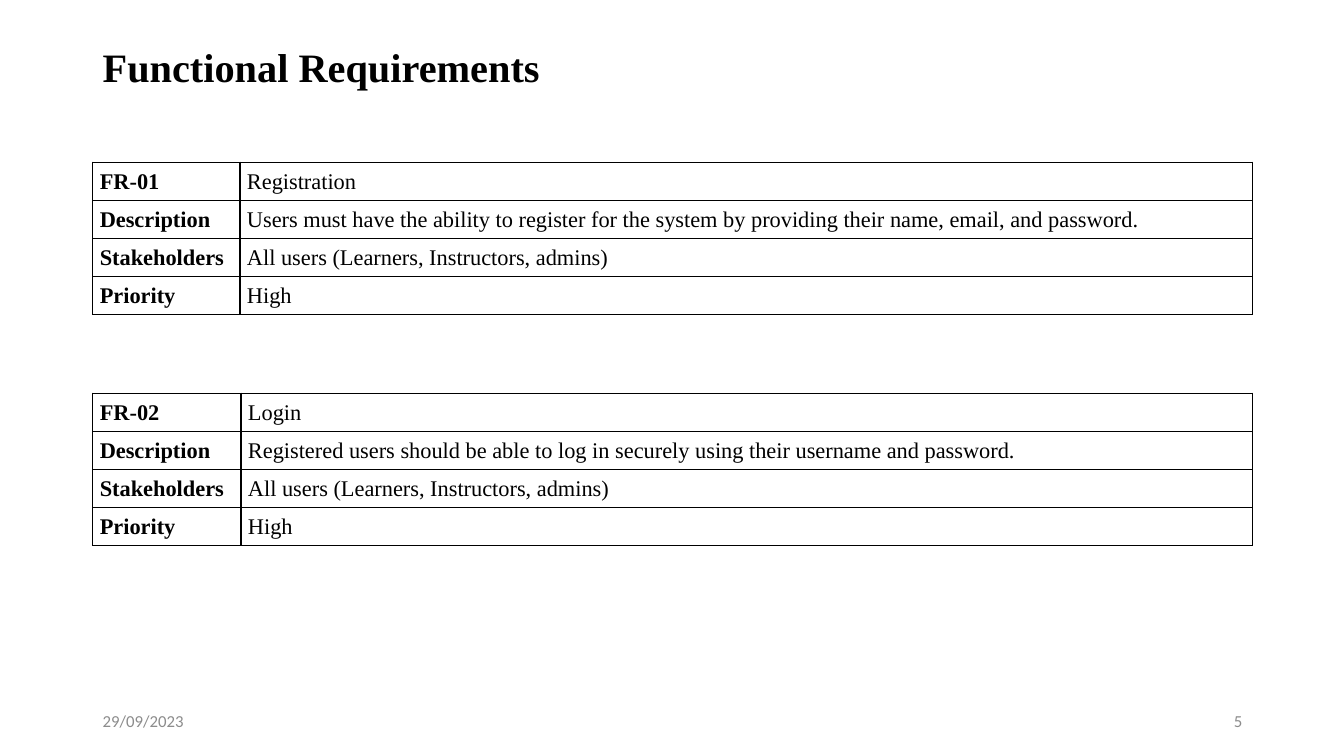
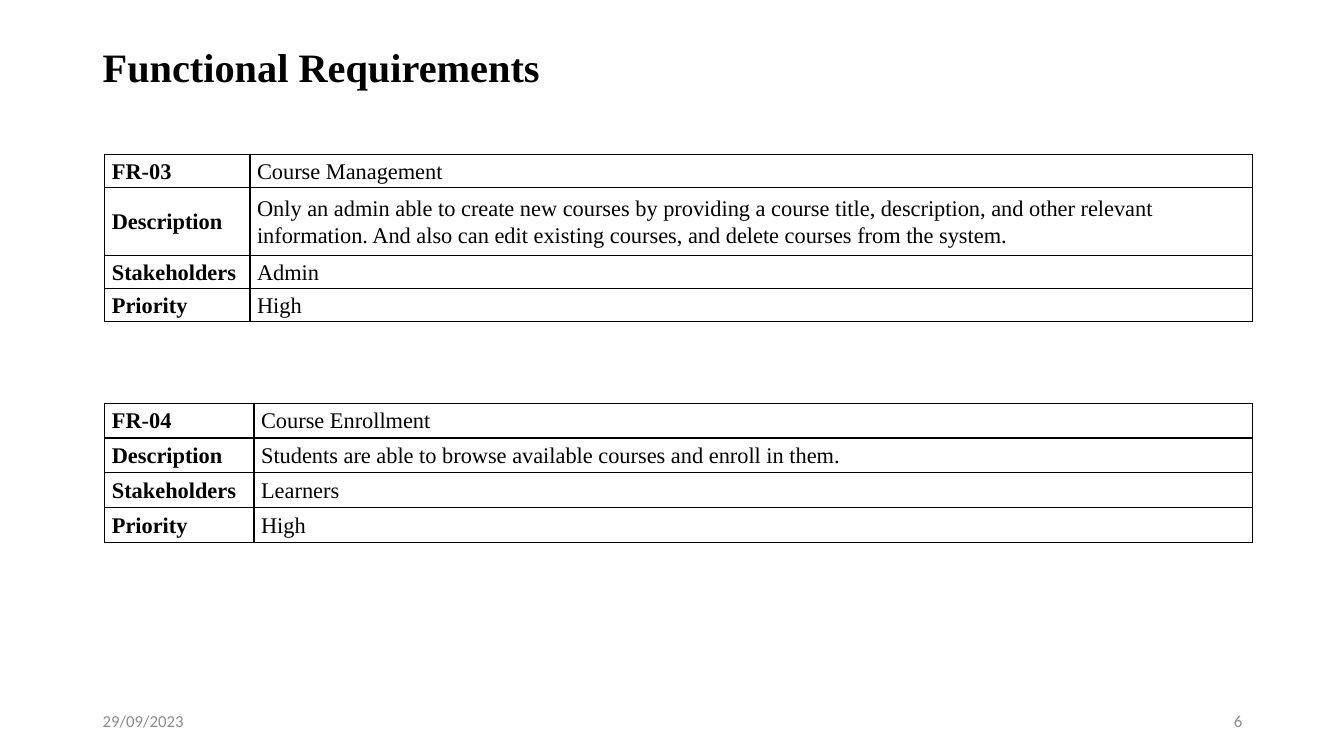
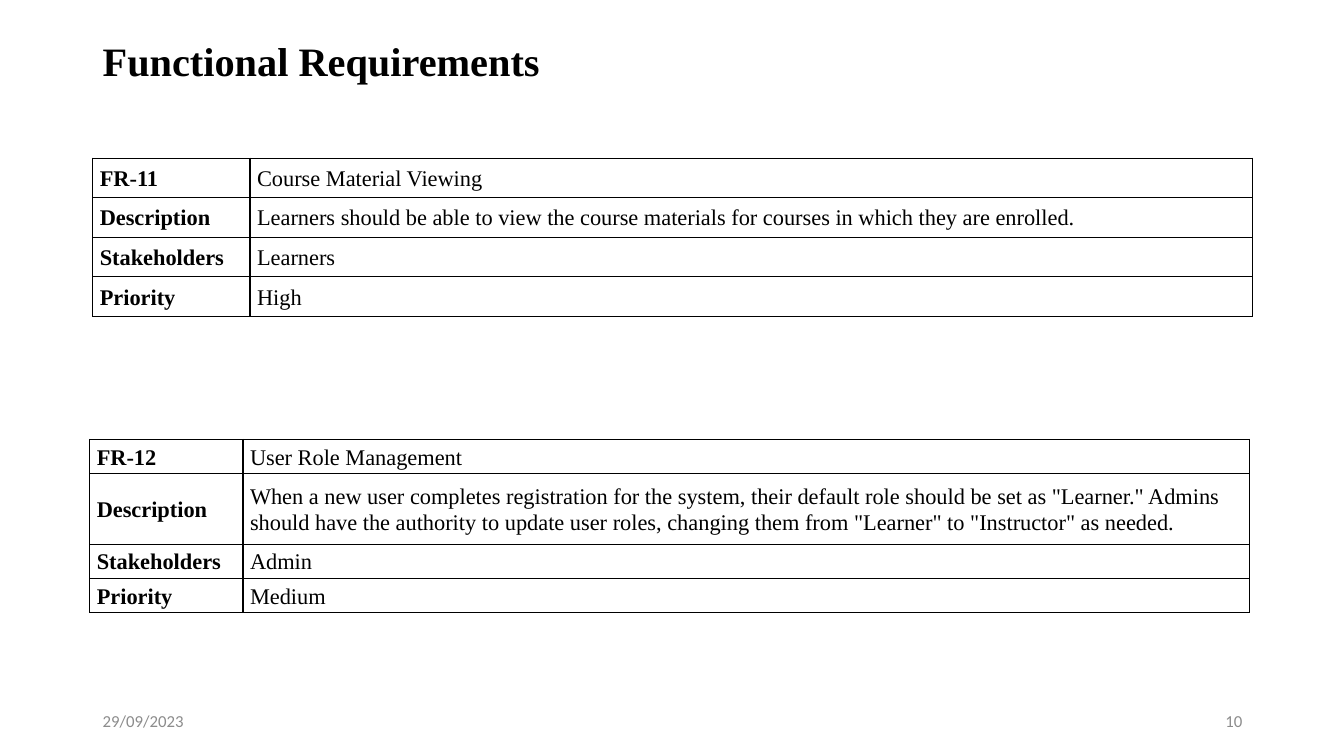
from lxml import etree
from pptx import Presentation
from pptx.dml.color import RGBColor
from pptx.enum.text import MSO_ANCHOR, PP_ALIGN
from pptx.oxml.ns import qn
from pptx.util import Inches, Pt

MIDDLE = MSO_ANCHOR.MIDDLE
LEFT, RIGHT = PP_ALIGN.LEFT, PP_ALIGN.RIGHT

# Shared style
BLACK, GREY = "000000", "8C8C8C"
SERIF, SANS = "Times New Roman", "Calibri"
MARGIN, CONTENT_WIDTH = 0.92, 11.5
FOOTER_TOP, FOOTER_WIDTH, FOOTER_HEIGHT = 6.95, 3, 0.4
BORDER_WIDTH = Pt(1)
TITLE = "Functional Requirements"
DATE = "29/09/2023"
FIELDS = ("Description", "Stakeholders", "Priority")

# Each requirement: code, name, description, stakeholders, priority,
# then the table's left, top, width, height, label width, description height
SLIDES = [
    {"number": 5, "title_top": 0.41, "requirements": [
        (("FR-01", "Registration",
          "Users must have the ability to register for the system by providing "
          "their name, email, and password.",
          "All users (Learners, Instructors, admins)", "High"),
         (0.92, 1.61, 11.5, 1.51, 1.46, None)),
        (("FR-02", "Login",
          "Registered users should be able to log in securely using their "
          "username and password.",
          "All users (Learners, Instructors, admins)", "High"),
         (0.92, 3.9, 11.5, 1.51, 1.47, None)),
    ]},
    {"number": 6, "title_top": 0.41, "requirements": [
        (("FR-03", "Course Management",
          "Only an admin able to create new courses by providing a course title, "
          "description, and other relevant information. And also can edit existing "
          "courses, and delete courses from the system.",
          "Admin", "High"),
         (1.04, 1.53, 11.38, 1.66, 1.44, 0.68)),
        (("FR-04", "Course Enrollment",
          "Students are able to browse available courses and enroll in them.",
          "Learners", "High"),
         (1.04, 4, 11.38, 1.38, 1.48, None)),
    ]},
    {"number": 10, "title_top": 0.35, "requirements": [
        (("FR-11", "Course Material Viewing",
          "Learners should be able to view the course materials for courses in "
          "which they are enrolled.",
          "Learners", "High"),
         (0.92, 1.57, 11.5, 1.57, 1.56, None)),
        (("FR-12", "User Role Management",
          "When a new user completes registration for the system, their default "
          "role should be set as \"Learner.\" Admins should have the authority to "
          "update user roles, changing them from \"Learner\" to \"Instructor\" as "
          "needed.",
          "Admin", "Medium"),
         (0.89, 4.36, 11.5, 1.72, 1.52, 0.7)),
    ]},
]


def rgb(color):
    return RGBColor.from_string(color)


def style_font(paragraph, size, name, color, bold=False):
    for run in paragraph.runs:
        run.font.size = Pt(size)
        run.font.name = name
        run.font.bold = bold
        run.font.color.rgb = rgb(color)


def add_text(slide, text, left, top, width, height, align=LEFT):
    box = slide.shapes.add_textbox(
        Inches(left), Inches(top), Inches(width), Inches(height))
    frame = box.text_frame
    frame.word_wrap = True
    frame.vertical_anchor = MIDDLE
    frame.text = text
    paragraph = frame.paragraphs[0]
    paragraph.alignment = align
    return paragraph


def add_title(slide, top):
    title = add_text(slide, TITLE, MARGIN, top, CONTENT_WIDTH, 0.55)
    title.line_spacing = 0.9
    style_font(title, 28.8, SERIF, BLACK, bold=True)


def add_footer(slide, number):
    number_left = MARGIN + CONTENT_WIDTH - FOOTER_WIDTH
    for text, left, align in ((DATE, MARGIN, LEFT),
                              (str(number), number_left, RIGHT)):
        footer = add_text(slide, text, left, FOOTER_TOP,
                          FOOTER_WIDTH, FOOTER_HEIGHT, align)
        style_font(footer, 12, SANS, GREY)


def add_borders(cell):
    properties = cell._tc.get_or_add_tcPr()
    for side in ("a:lnL", "a:lnR", "a:lnT", "a:lnB"):
        line = etree.SubElement(properties, qn(side), w=str(BORDER_WIDTH))
        fill = etree.SubElement(line, qn("a:solidFill"))
        etree.SubElement(fill, qn("a:srgbClr"), val=BLACK)


def fill_cell(cell, text, bold):
    add_borders(cell)
    cell.fill.background()
    cell.vertical_anchor = MIDDLE
    cell.margin_left = cell.margin_right = Inches(0.07)
    cell.margin_top = cell.margin_bottom = 0
    cell.text = text
    paragraph = cell.text_frame.paragraphs[0]
    paragraph.line_spacing = 1.07
    paragraph.space_after = Pt(8)
    style_font(paragraph, 16, SERIF, BLACK, bold)


def add_requirement(slide, content, layout):
    code, *values = content
    left, top, width, height, label_width, description_height = layout
    labels = (code,) + FIELDS
    table = slide.shapes.add_table(
        len(labels), 2, Inches(left), Inches(top),
        Inches(width), Inches(height)).table
    table.first_row = table.horz_banding = False
    table.columns[0].width = Inches(label_width)
    table.columns[1].width = Inches(width - label_width)

    # Rows share the height left over by a taller description
    if description_height is None:
        description_height = height / len(labels)
    row_height = (height - description_height) / (len(labels) - 1)
    for index, (label, value) in enumerate(zip(labels, values)):
        is_description = label == "Description"
        table.rows[index].height = Inches(
            description_height if is_description else row_height)
        fill_cell(table.cell(index, 0), label, bold=True)
        fill_cell(table.cell(index, 1), value, bold=False)


def main():
    deck = Presentation()
    deck.slide_width, deck.slide_height = Inches(13.33), Inches(7.5)
    blank = deck.slide_layouts[6]
    for page in SLIDES:
        slide = deck.slides.add_slide(blank)
        add_title(slide, page["title_top"])
        for content, layout in page["requirements"]:
            add_requirement(slide, content, layout)
        add_footer(slide, page["number"])
    deck.save("out.pptx")


if __name__ == "__main__":
    main()
